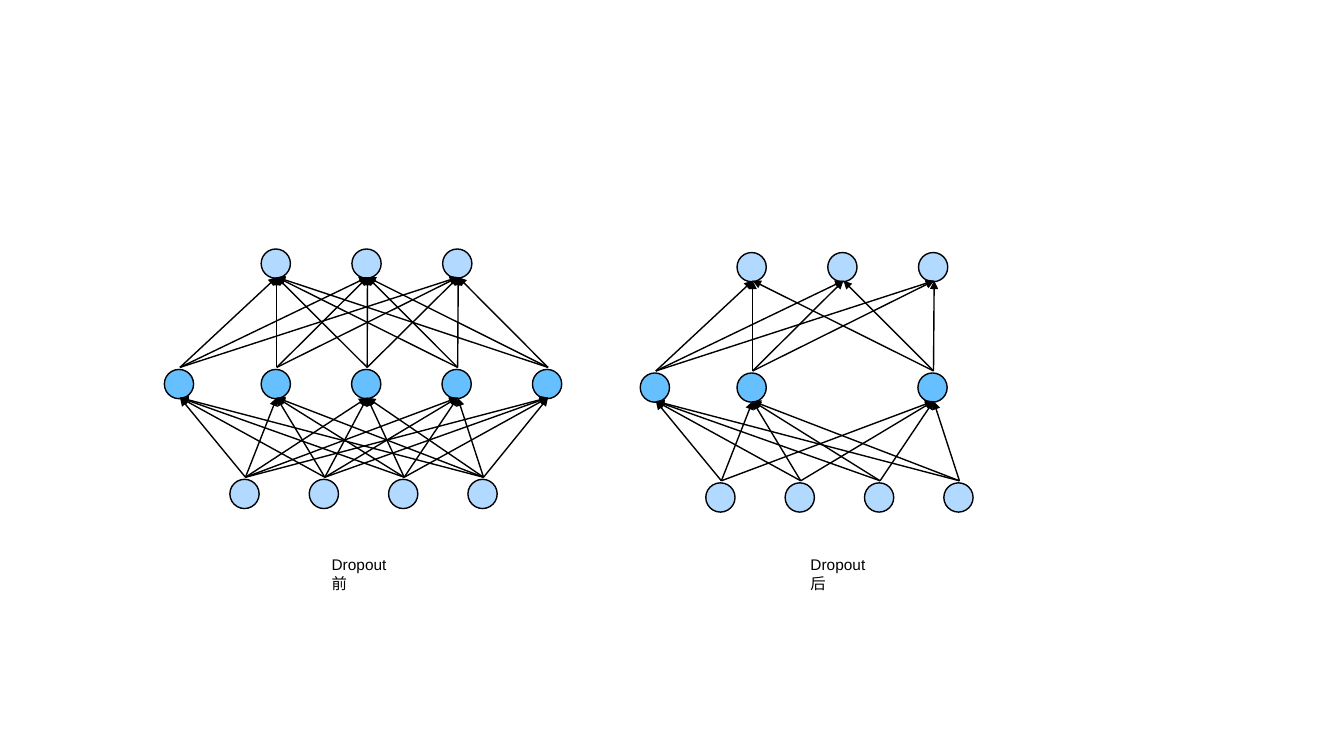
from pptx import Presentation
from pptx.dml.color import RGBColor
from pptx.enum.shapes import MSO_CONNECTOR, MSO_SHAPE
from pptx.enum.text import MSO_ANCHOR, PP_ALIGN
from pptx.oxml.ns import qn
from pptx.util import Inches, Pt
from lxml.etree import SubElement

BLACK = RGBColor(0x00, 0x00, 0x00)
PALE_BLUE = RGBColor(0xB2, 0xD9, 0xFF)
BRIGHT_BLUE = RGBColor(0x66, 0xBF, 0xFF)

# Grid cells are a tenth of an inch; nodes are (column, row) of the top left
NODE = 2.9
INPUT_COLUMNS = [22.8 + 7.87 * i for i in range(4)]
HIDDEN_COLUMNS = [16.3] + [25.9 + 8.97 * i for i in range(4)]
OUTPUT_COLUMNS = [25.9 + 9 * i for i in range(3)]
INPUT_ROW, HIDDEN_ROW, OUTPUT_ROW = 47.55, 36.65, 24.7
CAPTION_ROW = 54.6


class NetworkSlide:
    """Style and drawing methods for the current slide."""

    def __init__(self, deck):
        self.page = deck.slides.add_slide(deck.slide_layouts[6])
        self.font_format = {"name": "Arial", "size": Pt(11)}
        self.line_width = Pt(1)

    def cells(self, *counts):
        return [Inches(count / 10) for count in counts]

    def outline(self, shape):
        shape.line.color.rgb = BLACK
        shape.line.width = self.line_width

    def node(self, column, row, color):
        circle = self.page.shapes.add_shape(
            MSO_SHAPE.OVAL, *self.cells(column, row, NODE, NODE))
        circle.shadow.inherit = False
        circle.fill.solid()
        circle.fill.fore_color.rgb = color
        self.outline(circle)

    def arrow(self, start, end):
        """Join the top of one node to the bottom of another."""
        middle = NODE / 2 + 0.1
        arrow = self.page.shapes.add_connector(
            MSO_CONNECTOR.STRAIGHT,
            *self.cells(start[0] + middle, start[1] - 0.2,
                        end[0] + middle, end[1] + NODE - 0.1))
        self.outline(arrow)
        SubElement(arrow.line._get_or_add_ln(), qn("a:tailEnd"), type="triangle")
        SubElement(arrow._element.spPr, qn("a:effectLst"))

    def caption(self, text, column, row):
        box = self.page.shapes.add_textbox(*self.cells(column, row, 8.8, 2.9))
        frame = box.text_frame
        frame.word_wrap = True
        frame.vertical_anchor = MSO_ANCHOR.TOP
        para = frame.paragraphs[0]
        para.alignment = PP_ALIGN.LEFT
        span = para.add_run()
        span.text = text
        for name, value in self.font_format.items():
            setattr(span.font, name, value)
        span.font.color.rgb = BLACK

    def network(self, right, down, dropped=()):
        """Draw three layers, fully joined, without the dropped hidden nodes."""
        kept = [column for i, column in enumerate(HIDDEN_COLUMNS)
                if i not in dropped]
        layers = [
            [(column + right, row + down) for column in columns]
            for columns, row in ((INPUT_COLUMNS, INPUT_ROW),
                                 (kept, HIDDEN_ROW),
                                 (OUTPUT_COLUMNS, OUTPUT_ROW))
        ]
        for layer, color in zip(layers, (PALE_BLUE, BRIGHT_BLUE, PALE_BLUE)):
            for place in layer:
                self.node(*place, color)
        for lower, upper in zip(layers, layers[1:]):
            for start in lower:
                for end in upper:
                    self.arrow(start, end)


def main():
    deck = Presentation()
    deck.slide_width, deck.slide_height = Inches(13.33), Inches(7.5)
    slide = NetworkSlide(deck)

    # Full network on the left, thinned network on the right
    slide.network(right=0, down=0)
    slide.network(right=47.2, down=0.35, dropped=(2, 4))

    # Captions
    slide.caption("Dropout前", 31.9, CAPTION_ROW)
    slide.caption("Dropout后", 79.4, CAPTION_ROW)

    deck.save("out.pptx")


if __name__ == "__main__":
    main()
